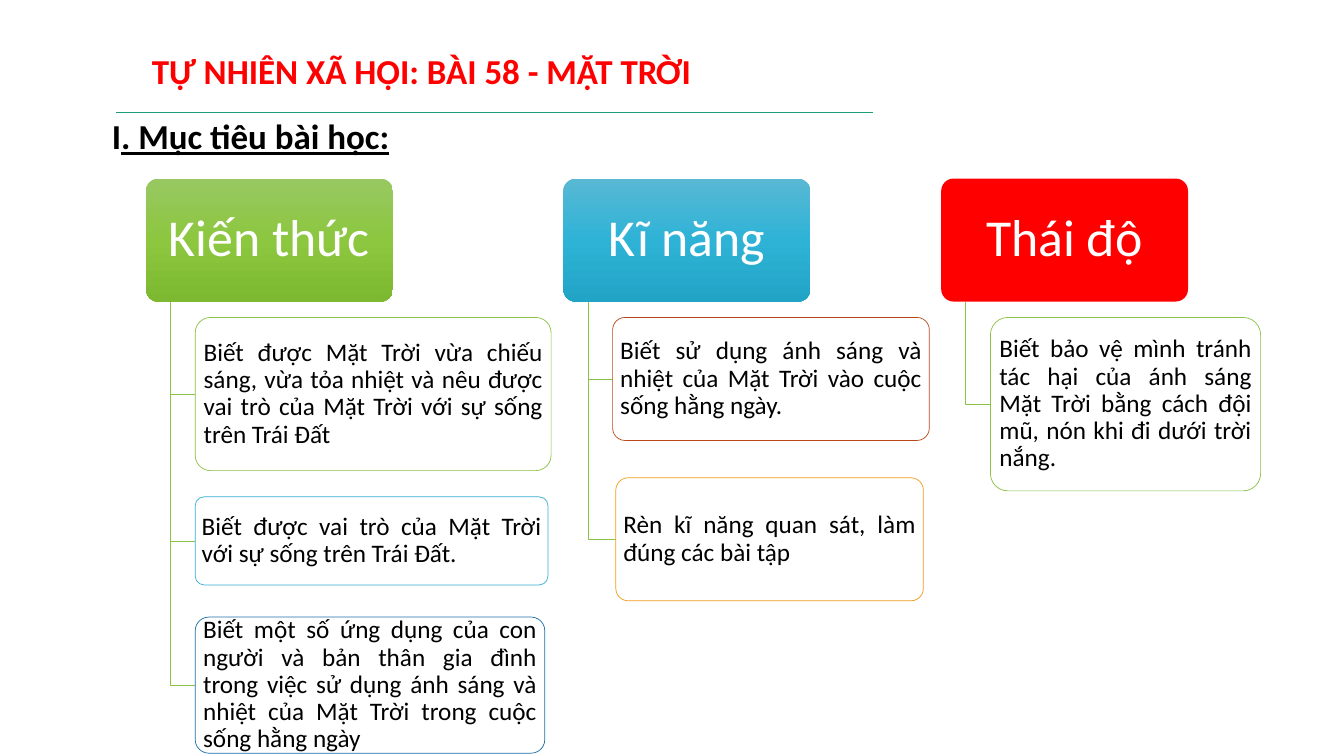
from copy import deepcopy

from lxml import etree
from pptx import Presentation
from pptx.dml.color import RGBColor
from pptx.enum import shapes, text
from pptx.oxml.ns import qn
from pptx.util import Cm, Pt

FONT = "Calibri"
GREEN = "8BC145"
HEAD_TOP, HEAD_WIDTH, HEAD_HEIGHT = 4.5, 6.22, 3.1
STEM_INDENT = 0.62

# Each column: left, heading, heading fill, cards
# Each card: indent, top, width, height, outline, wording
COLUMNS = [
    (3.68, "Kiến thức", ["98C862", "8CC73F", "7DB831"], [
        (1.24, 8, 8.97, 3.86, GREEN,
         "Biết được Mặt Trời vừa chiếu sáng, vừa tỏa nhiệt và nêu được "
         "vai trò của Mặt Trời với sự sống trên Trái Đất"),
        (1.24, 12.52, 8.89, 2.22, "36AFCE",
         "Biết được vai trò của Mặt Trời với sự sống trên Trái Đất."),
        (1.24, 15.55, 8.81, 3.43, "1D6FA9",
         "Biết một số ứng dụng của con người và bản thân gia đình trong "
         "việc sử dụng ánh sáng và nhiệt của Mặt Trời trong cuộc sống hằng ngày"),
    ]),
    (14.2, "Kĩ năng", ["59B8D4", "2EB3D6", "21A4C6"], [
        (1.24, 8, 7.98, 3.1, "B74919",
         "Biết sử dụng ánh sáng và nhiệt của Mặt Trời vào cuộc sống hằng ngày."),
        (1.32, 12.04, 7.75, 3.1, "F19D19",
         "Rèn kĩ năng quan sát, làm đúng các bài tập"),
    ]),
    (23.72, "Thái độ", ["FF0000"], [
        (1.24, 8, 6.81, 4.37, GREEN,
         "Biết bảo vệ mình tránh tác hại của ánh sáng Mặt Trời bằng cách "
         "đội mũ, nón khi đi dưới trời nắng."),
    ]),
]


def rgb(value):
    return RGBColor.from_string(value)


def style_font(font, size, color, bold=False):
    font.name, font.size, font.bold = FONT, Pt(size), bold
    font.color.rgb = rgb(color)


def style_line(line, color):
    line.color.rgb = rgb(color)
    line.width = Pt(0.5)


def fill_gradient(shape, colors):
    """Three evenly spaced colours from top to bottom."""
    shape.fill.gradient()
    shape.fill.gradient_angle = 270
    stop_list = shape.fill._fill._gradFill.find(qn("a:gsLst"))
    stop_list.insert(1, deepcopy(stop_list[0]))
    for index, (stop, color) in enumerate(zip(shape.fill.gradient_stops, colors)):
        stop.position = index / 2
        stop.color.rgb = rgb(color)


def add_heading_text(slide, left, top, width, parts):
    heading = slide.shapes.add_textbox(Cm(left), Cm(top), Cm(width), Cm(1.32))
    heading.text_frame.word_wrap = True
    for wording, color, underline in parts:
        run = heading.text_frame.paragraphs[0].add_run()
        run.text = wording
        style_font(run.font, 25, color, bold=True)
        run.font.underline = underline


def add_rule(slide, left, right, top):
    rule = slide.shapes.add_connector(
        shapes.MSO_CONNECTOR.STRAIGHT, Cm(left), Cm(top), Cm(right), Cm(top))
    style_line(rule.line, "1D9A78")
    etree.SubElement(rule._element.spPr, qn("a:effectLst"))


def add_rounded_box(slide, left, top, width, height, wording, size, color, align, inset):
    box = slide.shapes.add_shape(shapes.MSO_SHAPE.ROUNDED_RECTANGLE,
                                 Cm(left), Cm(top), Cm(width), Cm(height))
    box.adjustments[0] = 0.1
    box.shadow.inherit = False
    frame = box.text_frame
    frame.word_wrap = True
    frame.vertical_anchor = text.MSO_ANCHOR.MIDDLE
    frame.margin_left = frame.margin_right = Cm(inset)
    frame.margin_top = frame.margin_bottom = Cm(inset * 0.65)
    frame.text = wording
    paragraph = frame.paragraphs[0]
    paragraph.alignment = align
    paragraph.line_spacing = 0.9
    style_font(paragraph.runs[0].font, size, color)
    return box


def add_column_head(slide, left, wording, colors):
    head = add_rounded_box(slide, left, HEAD_TOP, HEAD_WIDTH, HEAD_HEIGHT, wording,
                           37, "FFFFFF", text.PP_ALIGN.CENTER, 0.2)
    head.line.fill.background()
    if len(colors) > 1:
        fill_gradient(head, colors)
    else:
        head.fill.solid()
        head.fill.fore_color.rgb = rgb(colors[0])


def add_card(slide, left, top, width, height, outline, wording):
    card = add_rounded_box(slide, left, top, width, height, wording,
                           18, "000000", text.PP_ALIGN.JUSTIFY, 0.1)
    card.fill.solid()
    card.fill.fore_color.rgb = rgb("FFFFFF")
    white = card._element.spPr.find(qn("a:solidFill"))[0]
    etree.SubElement(white, qn("a:alpha"), val="90000")
    style_line(card.line, outline)


def add_branch(slide, stem, card_left, card_middle):
    outline = slide.shapes.build_freeform(Cm(stem), Cm(HEAD_TOP + HEAD_HEIGHT))
    outline.add_line_segments(
        [(Cm(stem), Cm(card_middle)), (Cm(card_left), Cm(card_middle))], close=False)
    branch = outline.convert_to_shape()
    branch.fill.background()
    branch.shadow.inherit = False
    style_line(branch.line, GREEN)


def main():
    prs = Presentation()
    prs.slide_width, prs.slide_height = Cm(33.87), Cm(19.05)
    slide = prs.slides.add_slide(prs.slide_layouts[6])

    # Lesson title and section heading
    add_heading_text(slide, 3.58, 1.12, 17.93,
                     [("TỰ NHIÊN XÃ HỘI: BÀI 58 - MẶT TRỜI", "FF0000", False)])
    add_heading_text(slide, 2.57, 2.77, 29.46,
                     [("I", "000000", False), (". Mục tiêu bài học:", "000000", True)])
    add_rule(slide, 2.92, 22, 2.82)

    # Goals: a heading with its branches and cards in each column
    for left, heading, colors, cards in COLUMNS:
        add_column_head(slide, left, heading, colors)
        for indent, top, width, height, outline, wording in cards:
            add_branch(slide, left + STEM_INDENT, left + indent, top + height / 2)
            add_card(slide, left + indent, top, width, height, outline, wording)

    prs.save("out.pptx")


if __name__ == "__main__":
    main()
